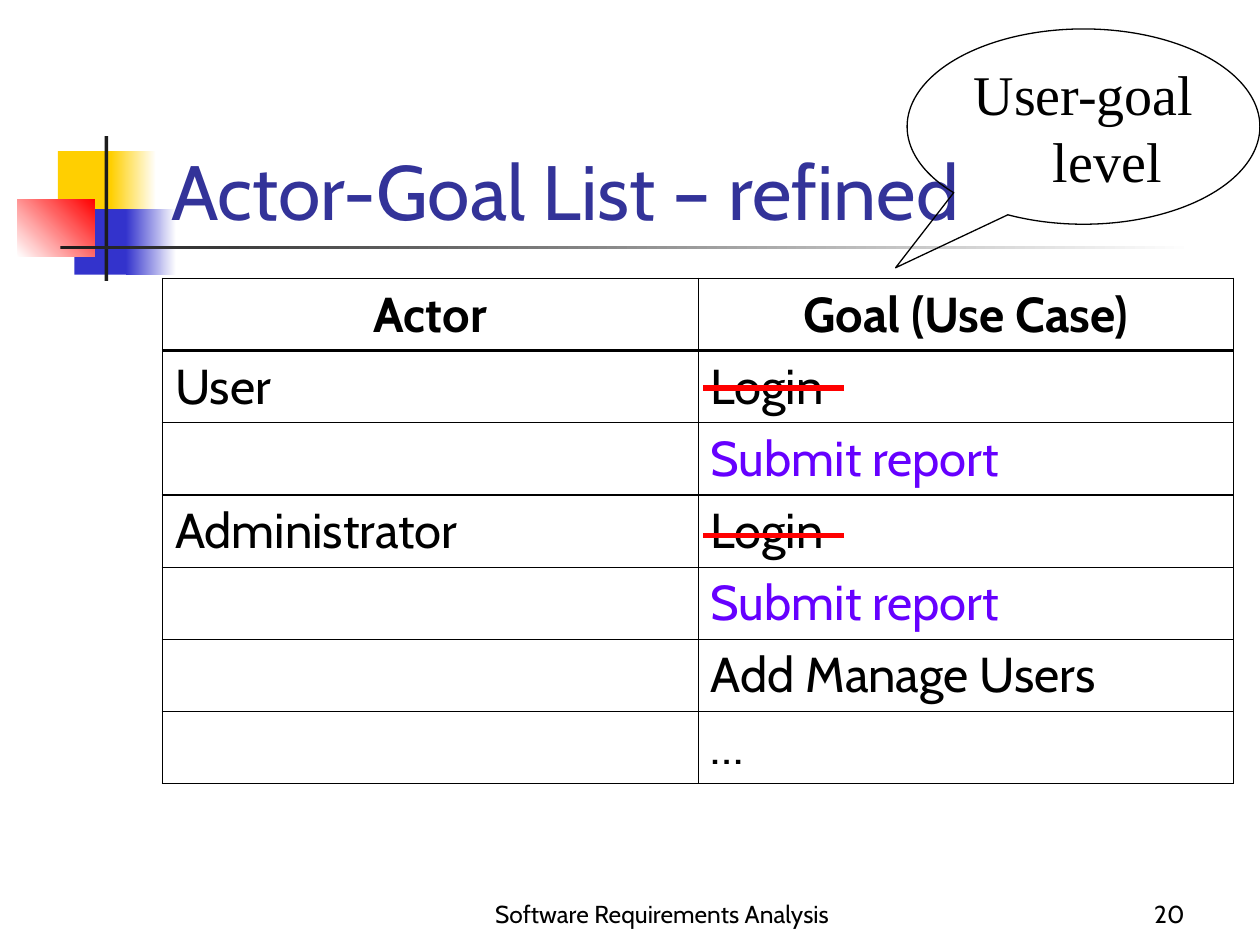
from lxml.etree import SubElement
from pptx import Presentation
from pptx.dml.color import RGBColor
from pptx.enum.shapes import MSO_CONNECTOR, MSO_SHAPE
from pptx.enum.text import MSO_ANCHOR, MSO_AUTO_SIZE, PP_ALIGN
from pptx.oxml.ns import qn
from pptx.util import Inches, Pt

TITLE = "Actor-Goal List – refined"
FOOTER = "Software Requirements Analysis"
PAGE_NUMBER = "20"
CALLOUT = "User-goal level"
ROWS = [
    ("Actor", "Goal (Use Case)"),
    ("User", "Login"),
    ("", "Submit report"),
    ("Administrator", "Login"),
    ("", "Submit report"),
    ("", "Add Manage Users"),
    ("", "…"),
]
HIGHLIGHTED = "Submit report"
COLORS = {
    "text": "000000", "title": "333399", "highlight": "6600FF", "strike": "FF0000",
    "yellow": "FFCF01", "blue": "3333CC", "red": "FF0000", "dark": "1C1C1C", "white": "FFFFFF",
}
ORNAMENTS = [
    ((0.46, 1.2, 0.48, 0.52), ("yellow",), 0),
    ((0.88, 1.2, 0.36, 0.52), ("yellow", "white"), 0),
    ((0.59, 1.66, 0.46, 0.52), ("blue",), 0),
    ((1, 1.66, 0.4, 0.52), ("blue", "white"), 0),
    ((0.14, 1.58, 0.61, 0.46), ("white", "red"), 45),
    ((0.83, 1.08, 0.03, 1.15), ("dark",), 0),
    ((0.48, 1.95, 9, 0.03), ("dark", "white"), 0),
]
TITLE_BOX = (1.26, 0.67, 8.52, 1.25)
FOOTER_BOX = (3.67, 6.92, 3.17, 0.5)
NUMBER_BOX = (7.42, 6.92, 2.08, 0.5)
CALLOUT_BOX = (7.2, 0.23, 2.8, 1.55)
TABLE_BOX = (1.29, 2.21, 8.5, 3.98)
STRIKE_SPAN = (5.58, 6.7)
STRIKE_HEIGHTS = (3.08, 4.25)
OUTER, INNER, HEADER_RULE = 1.08, 0.45, 1.47
GROUP_ENDS = (0, 2)


def color(name):
    return RGBColor.from_string(COLORS[name])


def box(lengths):
    return [Inches(length) for length in lengths]


def write_text(frame, text, size=28, font="Cabin", tint="text", bold=False,
               align=PP_ALIGN.LEFT, anchor=MSO_ANCHOR.TOP, before=0):
    frame.word_wrap = True
    frame.vertical_anchor = anchor
    paragraph = frame.paragraphs[0]
    paragraph.alignment = align
    paragraph.space_before = Pt(before)
    run = paragraph.add_run()
    run.text = text
    run.font.size, run.font.name, run.font.bold = Pt(size), font, bold
    run.font.color.rgb = color(tint)
    return paragraph


def add_ornament(slide, lengths, tints, angle):
    shape = slide.shapes.add_shape(MSO_SHAPE.RECTANGLE, *box(lengths))
    shape.shadow.inherit = False
    shape.line.fill.background()
    if len(tints) == 1:
        shape.fill.solid()
        shape.fill.fore_color.rgb = color(tints[0])
        return
    shape.fill.gradient()
    shape.fill.gradient_angle = angle
    for position, (stop, tint) in enumerate(zip(shape.fill.gradient_stops, tints)):
        stop.color.rgb = color(tint)
        stop.position = position


def add_title(slide):
    title = slide.shapes.title
    title.left, title.top, title.width, title.height = box(TITLE_BOX)
    title.text_frame.auto_size = MSO_AUTO_SIZE.NONE
    write_text(title.text_frame, TITLE, size=44, tint="title", anchor=MSO_ANCHOR.BOTTOM)
    slide.shapes.element.append(title.element)


def add_footer(slide, lengths, text, align):
    shape = slide.shapes.add_textbox(*box(lengths))
    write_text(shape.text_frame, text, size=14, align=align, anchor=MSO_ANCHOR.BOTTOM)


def set_borders(cell, widths):
    properties = cell._tc.get_or_add_tcPr()
    for index, (side, width) in enumerate(widths.items()):
        line = properties.makeelement(qn(f"a:{side}"), {"w": str(int(Pt(width)))})
        fill = SubElement(line, qn("a:solidFill"))
        SubElement(fill, qn("a:srgbClr"), val=COLORS["text"])
        properties.insert(index, line)


def rule_below(row):
    if row in (-1, len(ROWS) - 1):
        return OUTER
    return HEADER_RULE if row in GROUP_ENDS else INNER


def add_goal_table(slide):
    columns = len(ROWS[0])
    table = slide.shapes.add_table(len(ROWS), columns, *box(TABLE_BOX)).table
    table.first_row = table.horz_banding = False
    for row, texts in enumerate(ROWS):
        for column, text in enumerate(texts):
            cell = table.cell(row, column)
            cell.fill.background()
            header = row == 0
            if text:
                write_text(cell.text_frame, text, bold=header, before=7,
                           tint="highlight" if text == HIGHLIGHTED else "text",
                           align=PP_ALIGN.CENTER if header else PP_ALIGN.LEFT)
            cell.vertical_anchor = MSO_ANCHOR.MIDDLE if header else MSO_ANCHOR.TOP
            set_borders(cell, {
                "lnL": OUTER if column == 0 else INNER,
                "lnR": OUTER if column == columns - 1 else INNER,
                "lnT": rule_below(row - 1),
                "lnB": rule_below(row),
            })


def add_strike(slide, height):
    start, end = STRIKE_SPAN
    line = slide.shapes.add_connector(MSO_CONNECTOR.STRAIGHT, *box((end, height, start, height)))
    line.line.color.rgb = color("strike")
    line.line.width = Pt(3)
    SubElement(line.element.spPr, qn("a:effectLst"))


def add_callout(slide):
    shape = slide.shapes.add_shape(MSO_SHAPE.OVAL_CALLOUT, *box(CALLOUT_BOX))
    shape.adjustments[0], shape.adjustments[1] = -0.533, 0.723
    shape.shadow.inherit = False
    shape.fill.background()
    shape.line.color.rgb = color("text")
    shape.line.width = Pt(0.75)
    paragraph = write_text(shape.text_frame, CALLOUT, size=32, font="Times New Roman",
                           align=PP_ALIGN.CENTER, anchor=MSO_ANCHOR.MIDDLE, before=20)
    indent = Inches(0.38)
    properties = paragraph._p.get_or_add_pPr()
    properties.set("marL", str(indent))
    properties.set("indent", str(-indent))


def main():
    presentation = Presentation()
    presentation.slide_width, presentation.slide_height = Inches(10), Inches(7.5)
    slide = presentation.slides.add_slide(presentation.slide_layouts[5])
    for ornament in ORNAMENTS:
        add_ornament(slide, *ornament)
    add_footer(slide, FOOTER_BOX, FOOTER, PP_ALIGN.CENTER)
    add_footer(slide, NUMBER_BOX, PAGE_NUMBER, PP_ALIGN.RIGHT)
    add_title(slide)
    add_goal_table(slide)
    for height in STRIKE_HEIGHTS:
        add_strike(slide, height)
    add_callout(slide)
    presentation.save("out.pptx")


if __name__ == "__main__":
    main()
